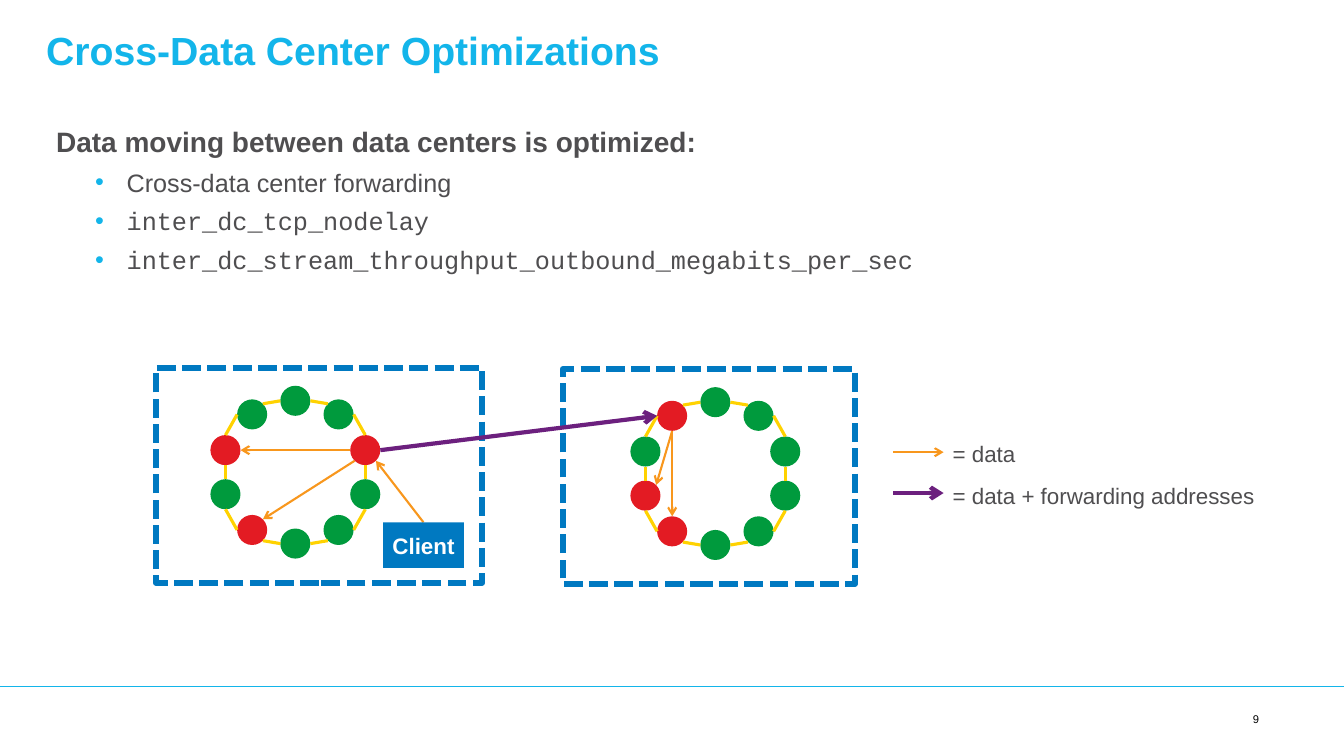
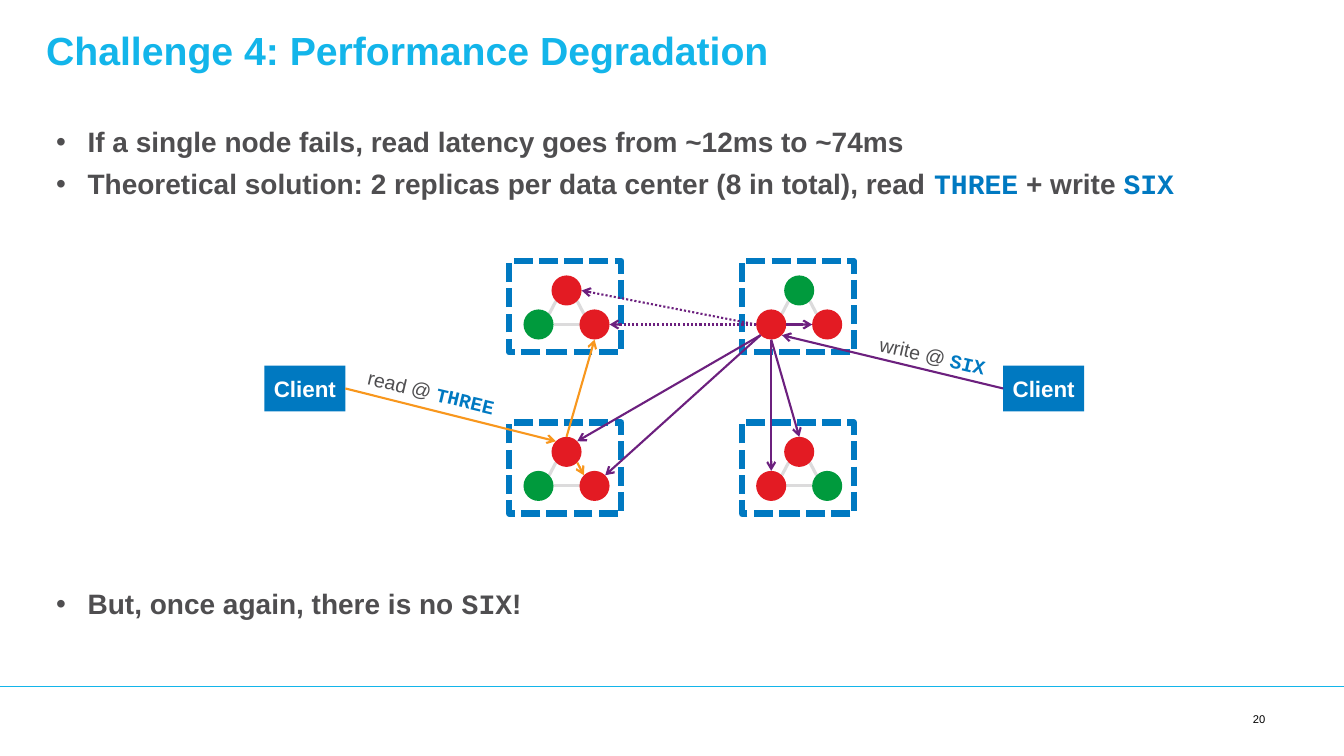
from itertools import product
from math import cos, pi, sin

from pptx import Presentation
from pptx.dml.color import RGBColor
from pptx.enum.dml import MSO_LINE
from pptx.enum.shapes import MSO_CONNECTOR, MSO_SHAPE
from pptx.enum.text import MSO_ANCHOR, PP_ALIGN
from pptx.oxml.ns import qn
from pptx.util import Pt
from lxml.etree import SubElement

CYAN = RGBColor(0x13, 0xB5, 0xEA)
BLUE = RGBColor(0x00, 0x79, 0xC1)
GRAY = RGBColor(0x4F, 0x4E, 0x50)
LIGHT_GRAY = RGBColor(0xDC, 0xDB, 0xDC)
GREEN = RGBColor(0x00, 0x9A, 0x3D)
RED = RGBColor(0xE3, 0x1B, 0x23)
YELLOW = RGBColor(0xFF, 0xD2, 0x00)
ORANGE = RGBColor(0xF8, 0x97, 0x1D)
PURPLE = RGBColor(0x6C, 0x20, 0x7E)
WHITE = RGBColor(0xFF, 0xFF, 0xFF)
BLACK = RGBColor(0x00, 0x00, 0x00)

SANS = "Arial"
MONO = "Courier New"
WIDTH, HEIGHT = 960, 540
BODY_LEFT, BODY_TOP, BODY_WIDTH = 33, 85.7, 880
INDENT = 22.5
RADIUS = 10.75
DIAGONAL = 0.71
SIDES = {
    "N": (0, -1), "NE": (DIAGONAL, -DIAGONAL), "E": (1, 0), "SE": (DIAGONAL, DIAGONAL),
    "S": (0, 1), "SW": (-DIAGONAL, DIAGONAL), "W": (-1, 0), "NW": (-DIAGONAL, -DIAGONAL),
}
RING_LINKS = [
    ("E", "NW"), ("E", "N"), ("S", "N"), ("S", "E"), ("SW", "E"),
    ("W", "SE"), ("W", "S"), ("N", "S"), ("N", "W"), ("NE", "W"),
]
CLUSTER_NODES = {"top": (40.9, 20.9), "left": (20.9, 45.2), "right": (60.9, 45.2)}
CLUSTER_LINKS = [
    ("top", "SE", "right", "NW"),
    ("top", "SW", "left", "NE"),
    ("right", "W", "left", "E"),
]
CLIENT_WIDTH, CLIENT_HEIGHT = 57.8, 32.6


def rim(node, side):
    across, down = SIDES[side]
    return node[0] + RADIUS * across, node[1] + RADIUS * down


def add_runs(para, pieces, size, color, bold=False):
    for piece in pieces:
        text, font, piece_color, piece_bold = piece if isinstance(piece, tuple) else (piece, SANS, color, bold)
        span = para.add_run()
        span.text = text
        span.font.name = font
        span.font.size = Pt(size)
        span.font.bold = piece_bold
        span.font.color.rgb = piece_color


def add_text(page, left, top, width, height, pieces, size, color, bold=False):
    box = page.shapes.add_textbox(Pt(left), Pt(top), Pt(width), Pt(height))
    box.text_frame.word_wrap = True
    add_runs(box.text_frame.paragraphs[0], pieces, size, color, bold)
    return box


def add_bullet(para, left, color):
    properties = para._p.get_or_add_pPr()
    properties.set("marL", str(Pt(left)))
    properties.set("indent", str(-Pt(INDENT)))
    bullet_color = SubElement(properties, qn("a:buClr"))
    SubElement(bullet_color, qn("a:srgbClr"), val=str(color))
    SubElement(properties, qn("a:buFont"), typeface=SANS)
    SubElement(properties, qn("a:buChar"), char="•")


def add_bullets(page, top, height, items, heading=None):
    box = page.shapes.add_textbox(Pt(BODY_LEFT), Pt(top), Pt(BODY_WIDTH), Pt(height))
    frame = box.text_frame
    frame.word_wrap = True
    lines = ([[heading]] if heading else []) + items
    for index, pieces in enumerate(lines):
        para = frame.add_paragraph() if index else frame.paragraphs[0]
        para.space_before = Pt(6)
        nested = heading and index > 0
        if nested:
            para.level = 1
            add_bullet(para, 50.4, CYAN)
        elif not heading:
            add_bullet(para, INDENT, GRAY)
        add_runs(para, pieces, 18 if nested else 20, GRAY, not nested)


def add_line(page, start, end, color, width, dash=None, arrow=False):
    points = [Pt(value) for value in (*start, *end)]
    line = page.shapes.add_connector(MSO_CONNECTOR.STRAIGHT, *points)
    line.line.color.rgb = color
    line.line.width = Pt(width)
    if dash:
        line.line.dash_style = dash
    properties = line.element.spPr
    if arrow:
        SubElement(properties.find(qn("a:ln")), qn("a:tailEnd"), type="arrow")
    SubElement(properties, qn("a:effectLst"))


def add_arrow(page, start, end, color, width=1.5, dash=None):
    add_line(page, start, end, color, width, dash, arrow=True)


def add_solid(page, kind, left, top, width, height, color):
    shape = page.shapes.add_shape(kind, Pt(left), Pt(top), Pt(width), Pt(height))
    shape.shadow.inherit = False
    shape.fill.solid()
    shape.fill.fore_color.rgb = color
    shape.line.fill.background()
    return shape


def add_node(page, center, color):
    add_solid(page, MSO_SHAPE.OVAL, center[0] - RADIUS, center[1] - RADIUS, 2 * RADIUS, 2 * RADIUS, color)


def add_client(page, left, top):
    box = add_solid(page, MSO_SHAPE.RECTANGLE, left, top, CLIENT_WIDTH, CLIENT_HEIGHT, BLUE)
    frame = box.text_frame
    frame.margin_left = frame.margin_right = Pt(5.76)
    frame.margin_top = frame.margin_bottom = Pt(2.88)
    frame.vertical_anchor = MSO_ANCHOR.MIDDLE
    frame.paragraphs[0].alignment = PP_ALIGN.CENTER
    add_runs(frame.paragraphs[0], ["Client"], 16, WHITE, True)


def add_data_center(page, left, top, width, height):
    box = page.shapes.add_shape(MSO_SHAPE.RECTANGLE, Pt(left), Pt(top), Pt(width), Pt(height))
    box.shadow.inherit = False
    box.fill.background()
    box.line.color.rgb = BLUE
    box.line.width = Pt(4.5)
    box.line.dash_style = MSO_LINE.SQUARE_DOT


def add_ring(page, center_x, center_y, replicas):
    count = len(RING_LINKS)
    angles = [2 * pi * index / count for index in range(count)]
    nodes = [(center_x + 52.5 * sin(angle), center_y - 51 * cos(angle)) for angle in angles]
    for index, node in enumerate(nodes):
        add_node(page, node, RED if index in replicas else GREEN)
    for index, (leave, enter) in enumerate(RING_LINKS):
        following = nodes[(index + 1) % count]
        add_line(page, rim(nodes[index], leave), rim(following, enter), YELLOW, 2.25)
    return nodes


def add_cluster(page, left, top, spare, arrow_link):
    add_data_center(page, left, top, 80, 65)
    nodes = {name: (left + x, top + y) for name, (x, y) in CLUSTER_NODES.items()}
    for first, leave, second, enter in CLUSTER_LINKS:
        if {first, second} != arrow_link:
            add_line(page, rim(nodes[first], leave), rim(nodes[second], enter), LIGHT_GRAY, 2.25)
    for name, node in nodes.items():
        add_node(page, node, GREEN if name == spare else RED)
    return nodes


def add_path_label(page, left, top, width, rotation, action, level):
    pieces = [f"{action} @ ", (level, MONO, BLUE, True)]
    box = add_text(page, left, top, width, 47.5, pieces, 14, GRAY)
    box.text_frame.paragraphs[0].alignment = PP_ALIGN.CENTER
    box.rotation = rotation


def add_page(deck, title, number):
    page = deck.slides.add_slide(deck.slide_layouts[6])
    add_line(page, (0, 490.2), (WIDTH, 490.2), CYAN, 0.75)
    add_text(page, 887.8, 505.5, 38, 17, [number], 8, BLACK)
    box = add_text(page, BODY_LEFT, 11.5, 893, 47.5, [title], 28, CYAN, True)
    frame = box.text_frame
    frame.margin_left = frame.margin_top = frame.margin_right = frame.margin_bottom = 0
    frame.vertical_anchor = MSO_ANCHOR.MIDDLE
    return page


def add_optimizations(deck):
    page = add_page(deck, "Cross-Data Center Optimizations", "9")
    settings = ["inter_dc_tcp_nodelay", "inter_dc_stream_throughput_outbound_megabits_per_sec"]
    items = [["Cross-data center forwarding"]] + [[(name, MONO, GRAY, False)] for name in settings]
    add_bullets(page, BODY_TOP, 130, items, "Data moving between data centers is optimized:")

    add_data_center(page, 111.5, 262.9, 232.8, 153.4)
    local = add_ring(page, 211, 337.3, {2, 6, 8})
    add_data_center(page, 402, 263.7, 208.6, 153.4)
    remote = add_ring(page, 511, 338.3, {6, 7, 9})

    client_left, client_top = 273.6, 373.1
    client_middle = (client_left + CLIENT_WIDTH / 2, client_top)
    add_arrow(page, rim(local[2], "SW"), rim(local[6], "NE"), ORANGE)
    add_arrow(page, rim(local[2], "W"), rim(local[8], "E"), ORANGE)
    add_arrow(page, rim(local[2], "E"), rim(remote[9], "W"), PURPLE, 3)
    add_arrow(page, client_middle, rim(local[2], "SE"), ORANGE)
    add_client(page, client_left, client_top)
    add_arrow(page, rim(remote[9], "S"), rim(remote[6], "N"), ORANGE)
    add_arrow(page, rim(remote[9], "S"), rim(remote[7], "NE"), ORANGE)

    legend = [
        (323, 310.5, ORANGE, 1.5, "= data"),
        (352.2, 341, PURPLE, 3, "= data + forwarding addresses"),
    ]
    for line_y, text_top, color, width, text in legend:
        add_arrow(page, (638, line_y), (674, line_y), color, width)
        add_text(page, 673.4, text_top, 250, 26.6, [text], 16, GRAY)


def add_degradation(deck):
    page = add_page(deck, "Challenge 4: Performance Degradation", "20")
    add_bullets(page, BODY_TOP, 70, [
        ["If a single node fails, read latency goes from ~12ms to ~74ms"],
        ["Theoretical solution: 2 replicas per data center (8 in total), read ",
         ("THREE", MONO, BLUE, True), " + write ", ("SIX", MONO, BLUE, True)],
    ])
    add_bullets(page, 415.7, 40, [["But, once again, there is no ", ("SIX", MONO, GRAY, True), "!"]])

    details = [("left", None), ("top", {"left", "right"}), ("left", {"top", "right"}), ("right", None)]
    corners = product((186.6, 301.9), (363.8, 530))
    upper_left, upper_right, lower_left, lower_right = [
        add_cluster(page, left, top, *detail) for (top, left), detail in zip(corners, details)
    ]

    client_top = 261.2
    client_middle = client_top + CLIENT_HEIGHT / 2
    reader_left, writer_left = 188.9, 716.6
    add_client(page, reader_left, client_top)
    add_client(page, writer_left, client_top)

    writer = upper_right["left"]
    writes = [
        ("S", lower_right["top"], "N", None),
        ("S", lower_right["left"], "N", None),
        ("SW", lower_left["right"], "NE", None),
        ("SW", lower_left["top"], "NE", None),
        ("E", upper_right["right"], "W", None),
        ("W", upper_left["right"], "E", MSO_LINE.ROUND_DOT),
        ("W", upper_left["top"], "E", MSO_LINE.ROUND_DOT),
    ]
    for leave, target, enter, dash in writes:
        add_arrow(page, rim(writer, leave), rim(target, enter), PURPLE, dash=dash)
    add_arrow(page, (writer_left, client_middle), rim(writer, "SE"), PURPLE)

    reader = lower_left["top"]
    add_arrow(page, (reader_left + CLIENT_WIDTH, client_middle), rim(reader, "NW"), ORANGE)
    add_arrow(page, rim(reader, "SE"), rim(lower_left["right"], "NW"), ORANGE)
    add_arrow(page, rim(reader, "N"), rim(upper_left["right"], "S"), ORANGE)

    add_path_label(page, 614.2, 241.9, 98.6, 13.2, "write", "SIX")
    add_path_label(page, 252, 267.8, 106.6, 13.6, "read", "THREE")


def main():
    deck = Presentation()
    deck.slide_width, deck.slide_height = Pt(WIDTH), Pt(HEIGHT)
    add_optimizations(deck)
    add_degradation(deck)
    deck.save("out.pptx")


if __name__ == "__main__":
    main()
